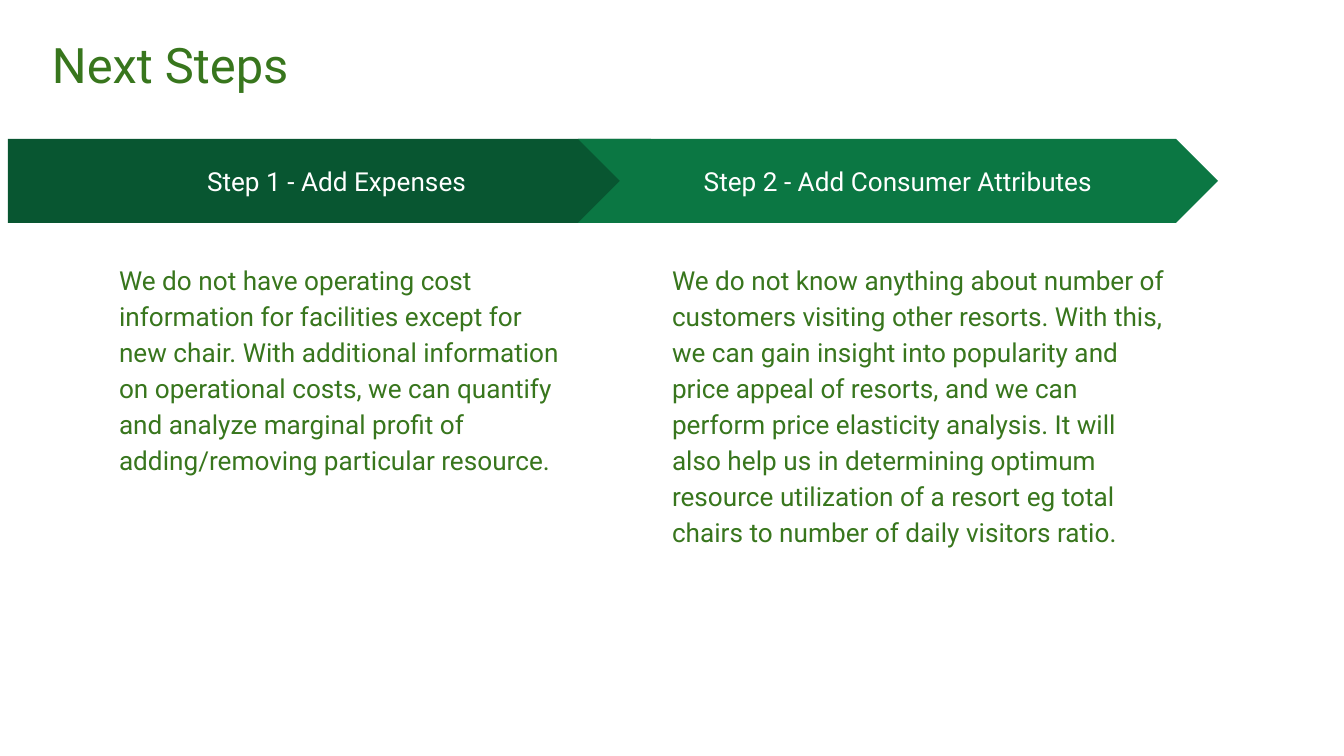
from pptx import Presentation
from pptx.dml.color import RGBColor
from pptx.enum.shapes import MSO_SHAPE
from pptx.enum.text import MSO_ANCHOR, PP_ALIGN
from pptx.util import Emu, Pt

COLORS = {"text": "38761D", "dark": "085631", "mid": "0B7743", "white": "FFFFFF"}
FONT = "Roboto"
INSET = 13
ARROW_H = 84
BODY_TOP = 108
BODY_H = 329

STEPS = [
    {
        "box": (8, 139, 685), "body": (98, 480),
        "shape": MSO_SHAPE.PENTAGON, "fill": "dark",
        "label": "Step 1 - Add Expenses ",
        "text": "We do not have operating cost information for facilities except for "
                "new chair. With additional information on operational costs, we can "
                "quantify and analyze marginal profit of adding/removing particular "
                "resource.",
    },
    {
        "box": (578, 139, 640), "body": (81, 520),
        "shape": MSO_SHAPE.CHEVRON, "fill": "mid",
        "label": "Step 2 - Add Consumer Attributes",
        "text": "We do not know anything about number of customers visiting other "
                "resorts. With this, we can gain insight into popularity and price "
                "appeal of resorts, and we can perform price elasticity analysis. It "
                "will also help us in determining optimum resource utilization of a "
                "resort eg total chairs to number of daily visitors ratio.",
    },
]


def px(n):
    """Turn pixels into EMU."""
    return Emu(round(n * 914400 / 134.4))


def rgb(name):
    """Look up a named colour."""
    return RGBColor.from_string(COLORS[name])


def write(sp, text, size, color, align=PP_ALIGN.LEFT, anchor=MSO_ANCHOR.TOP, spacing=None):
    """Fill a shape with one formatted paragraph."""
    tf = sp.text_frame
    tf.word_wrap = True
    tf.vertical_anchor = anchor
    tf.margin_left = tf.margin_right = tf.margin_top = tf.margin_bottom = px(INSET)
    tf.text = text
    p = tf.paragraphs[0]
    p.alignment = align
    p.line_spacing = spacing
    r = p.runs[0]
    r.font.name = FONT
    r.font.size = Pt(size)
    r.font.color.rgb = rgb(color)


def add_text(s, box, text, size, spacing=None):
    """Place a text box in the given box."""
    sp = s.shapes.add_textbox(*map(px, box))
    write(sp, text, size, "text", spacing=spacing)


def add_step(s, step):
    """Place a step arrow with its description below."""
    x, y, w = step["box"]
    sp = s.shapes.add_shape(step["shape"], px(x), px(y), px(w), px(ARROW_H))
    sp.adjustments[0] = 0.5
    sp.shadow.inherit = False
    sp.fill.solid()
    sp.fill.fore_color.rgb = rgb(step["fill"])
    sp.line.fill.background()
    write(sp, step["label"], 14, "white", PP_ALIGN.CENTER, MSO_ANCHOR.MIDDLE)
    dx, body_w = step["body"]
    add_text(s, (x + dx, y + BODY_TOP, body_w, BODY_H), step["text"], 14, 1.15)


def main():
    """Build and save the slide."""
    prs = Presentation()
    prs.slide_width, prs.slide_height = px(1344), px(756)
    s = prs.slides.add_slide(prs.slide_layouts[6])
    add_text(s, (39, 22, 1253, 85), "Next Steps", 26.2)
    for step in STEPS:
        add_step(s, step)
    prs.save("out.pptx")


if __name__ == "__main__":
    main()
